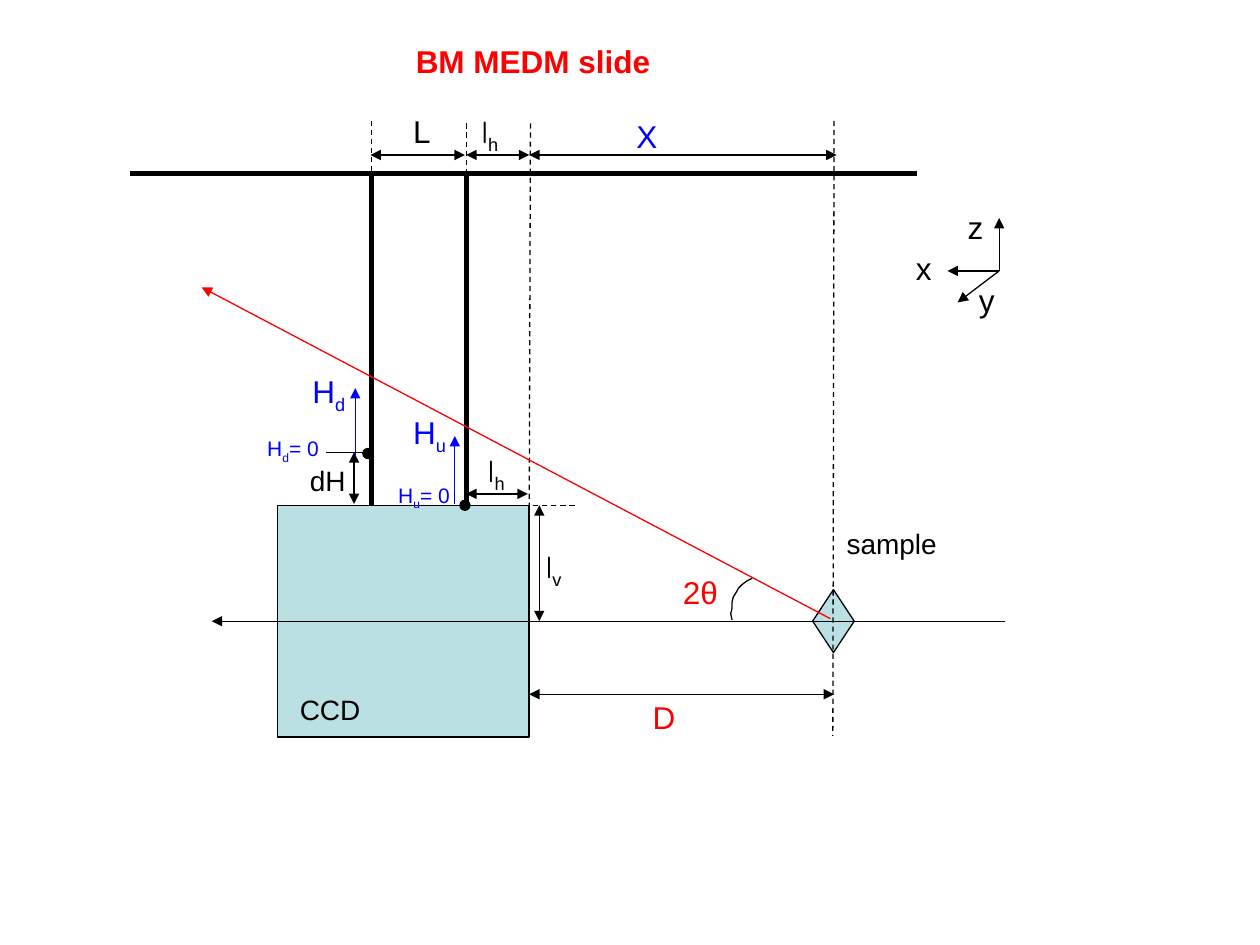
from lxml import etree
from pptx import Presentation
from pptx.dml.color import RGBColor
from pptx.enum.dml import MSO_LINE
from pptx.enum.shapes import MSO_CONNECTOR, MSO_SHAPE
from pptx.enum.text import PP_ALIGN
from pptx.oxml.ns import qn
from pptx.util import Inches, Pt

BLACK = RGBColor(0x00, 0x00, 0x00)
RED = RGBColor(0xFF, 0x00, 0x00)
BLUE = RGBColor(0x00, 0x00, 0xFF)
PALE = RGBColor(0xBB, 0xE0, 0xE3)
STRAIGHT = MSO_CONNECTOR.STRAIGHT
DASH = MSO_LINE.DASH
LEFT, RIGHT = PP_ALIGN.LEFT, PP_ALIGN.RIGHT
SANS, HAND = "Arial", "Comic Neue"

# Shared guide positions, in inches
POST_D, POST_U, CCD_FACE, SAMPLE = 2.95, 3.7, 4.2, 6.62
RAIL_Y, CCD_TOP, BEAM_Y, DIM_Y = 1.38, 4.01, 4.93, 1.23

prs = Presentation()
prs.slide_width, prs.slide_height = Inches(10), Inches(7.5)
s = prs.slides.add_slide(prs.slide_layouts[6])


def add_line(x1, y1, x2, y2, color=BLACK, width=0.75, dash=None, ends=()):
    """Draw a line; ends holds "headEnd" (start) and/or "tailEnd" (finish)."""
    c = s.shapes.add_connector(STRAIGHT, *map(Inches, (x1, y1, x2, y2)))
    c.line.color.rgb = color
    c.line.width = Pt(width)
    if dash:
        c.line.dash_style = dash
    sp_pr = c._element.spPr
    ln = sp_pr.find(qn("a:ln"))
    for end in ends:
        etree.SubElement(ln, qn("a:" + end), type="triangle")
    etree.SubElement(sp_pr, qn("a:effectLst"))
    return c


def add_label(x, y, w, h, runs, size=18, color=BLACK, align=LEFT, bold=False):
    """Write runs of (text, font, is_subscript)."""
    tf = s.shapes.add_textbox(*map(Inches, (x, y, w, h))).text_frame
    tf.word_wrap = True
    tf.margin_left = tf.margin_right = tf.margin_top = tf.margin_bottom = 0
    p = tf.paragraphs[0]
    p.alignment = align
    for text, font, subscript in runs:
        r = p.add_run()
        r.text = text
        for name, value in {"name": font, "size": Pt(size), "bold": bold}.items():
            setattr(r.font, name, value)
        r.font.color.rgb = color
        if subscript:
            r.font._element.set("baseline", "-25000")


# Sample, detector and the two zero points
shapes = {}
for name, kind, box, fill in [
    ("sample", MSO_SHAPE.DIAMOND, (6.45, 4.68, 0.33, 0.5), PALE),
    ("ccd", MSO_SHAPE.RECTANGLE, (2.2, CCD_TOP, 2, 1.84), PALE),
    ("zero_u", MSO_SHAPE.OVAL, (3.65, 3.97, 0.08, 0.08), BLACK),
    ("zero_d", MSO_SHAPE.OVAL, (2.88, 3.56, 0.08, 0.08), BLACK),
]:
    sp = s.shapes.add_shape(kind, *map(Inches, box))
    sp.shadow.inherit = False
    sp.fill.solid()
    sp.fill.fore_color.rgb = fill
    sp.line.color.rgb = BLACK
    sp.line.width = Pt(0.75)
    shapes[name] = sp

# Rail and posts
for ends in [
    (POST_U, CCD_TOP, POST_U, RAIL_Y),
    (POST_D, CCD_TOP, POST_D, RAIL_Y),
    (1.03, RAIL_Y, 7.28, RAIL_Y),
]:
    add_line(*ends, width=3)

# Dashed guides
for ends in [
    (SAMPLE, 0.96, 6.61, 5.84),
    (POST_D, 0.96, POST_D, RAIL_Y),
    (POST_U, 0.98, POST_U, 1.4),
    (4.21, 0.98, CCD_FACE, 4.14),
    (4.56, CCD_TOP, POST_U, CCD_TOP),
]:
    add_line(*ends, dash=DASH)
beam_guide = add_line(4.7, BEAM_Y, CCD_FACE, BEAM_Y, dash=DASH)
beam_guide.end_connect(shapes["ccd"], 3)

# Dimensions
for ends in [
    (CCD_FACE, 5.51, SAMPLE, 5.51),
    (4.28, CCD_TOP, 4.28, BEAM_Y),
    (6.64, DIM_Y, CCD_FACE, DIM_Y),
    (3.69, DIM_Y, 2.94, DIM_Y),
    (CCD_FACE, DIM_Y, POST_U, DIM_Y),
    (4.19, 3.92, POST_U, 3.92),
    (2.81, 3.59, 2.81, 4),
]:
    add_line(*ends, ends=("headEnd", "tailEnd"))

# Beams, heights and axes
for ends, color in [
    ((6.59, 4.91, 1.6, 2.28), RED),
    ((7.98, BEAM_Y, 1.68, BEAM_Y), BLACK),
    ((2.82, 3.62, 2.82, 3.08), BLUE),
    ((3.61, 4, 3.61, 3.46), BLUE),
    ((7.93, 2.15, 7.93, 1.73), BLACK),
    ((7.93, 2.15, 7.52, 2.15), BLACK),
    ((7.93, 2.15, 7.6, 2.4), BLACK),
]:
    add_line(*ends, color=color, ends=("tailEnd",))
add_line(2.97, 3.59, 2.59, 3.59)

# Scattering angle
arc = [(5.97, 4.59), (5.93, 4.61), (5.89, 4.64), (5.86, 4.67), (5.85, 4.69),
       (5.82, 4.74), (5.81, 4.78), (5.81, 4.83), (5.8, 4.87), (5.81, 4.92)]
points = [(Inches(x), Inches(y)) for x, y in arc]
builder = s.shapes.build_freeform(*points[0])
builder.add_line_segments(points[1:], close=False)
sp = builder.convert_to_shape()
sp.shadow.inherit = False
sp.fill.background()
sp.line.color.rgb = BLACK
sp.line.width = Pt(0.75)

# Plain labels
add_label(3.3, 0.33, 2.1, 0.3, [("BM MEDM slide", SANS, False)], color=RED, bold=True)
for text, x, y, w, size, color in [
    ("D", 5.18, 5.54, 0.29, 18, RED),
    ("2θ", 5.42, 4.55, 0.32, 18, RED),
    ("X", 5.05, 0.93, 0.2, 18, BLUE),
    ("L", 3.28, 0.89, 0.17, 18, BLACK),
    ("x", 7.27, 1.98, 0.17, 18, BLACK),
    ("y", 7.77, 2.23, 0.17, 18, BLACK),
    ("z", 7.68, 1.65, 0.17, 18, BLACK),
    ("sample", 6.72, 4.18, 0.75, 16, BLACK),
    ("CCD", 2.38, 5.5, 0.75, 16, BLACK),
    ("dH", 2.46, 3.68, 0.32, 16, BLACK),
]:
    add_label(x, y, w, 0.3, [(text, SANS, False)], size, color)

# Labels with a subscript
for base, sub, x, y, w, font, color in [
    ("l", "v", 4.33, 4.34, 0.21, HAND, BLACK),
    ("l", "h", 3.87, 3.58, 0.25, HAND, BLACK),
    ("l", "h", 3.82, 0.89, 0.25, HAND, BLACK),
    ("H", "d", 2.48, 2.95, 0.34, SANS, BLUE),
    ("H", "u", 3.28, 3.28, 0.34, SANS, BLUE),
]:
    add_label(x, y, w, 0.34, [(base, font, False), (sub, SANS, True)], color=color)
for sub, x, y in [("u", 3.02, 3.83), ("d", 1.98, 3.46)]:
    runs = [("H", SANS, False), (sub, SANS, True), ("= 0", SANS, False)]
    add_label(x, y, 0.55, 0.23, runs, 12, BLUE, RIGHT)

prs.save("out.pptx")
